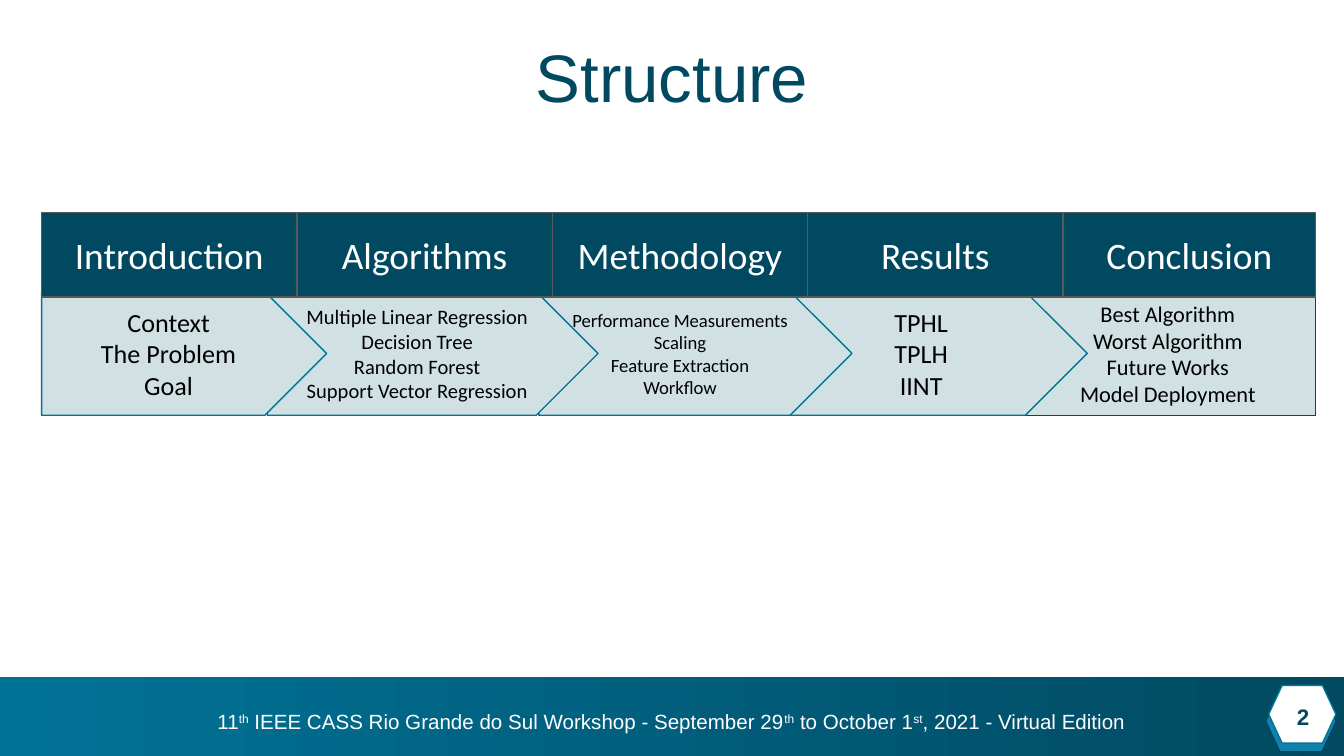
import pptx
import pptx.dml.color
import pptx.enum.shapes
import pptx.enum.text
import pptx.oxml
import pptx.oxml.ns
import pptx.util

WIDTH = 10
HEIGHT = WIDTH * 9 / 16
LEFT, RIGHT = 0.31, 9.79
HEADER_TOP, HEADER_WIDTH, HEADER_HEIGHT = 1.58, 1.9, 0.63
STEP_TOP, STEP_HEIGHT = 2.17, 0.92
COLORS = {
    "navy": "014961",
    "teal": "017397",
    "pale": "D0E0E3",
    "gray": "595959",
    "white": "FFFFFF",
    "black": "000000",
    "shadow": "1488B3",
}
STAGES = [
    ("Introduction", 0.31, 2.12, 14, ["Context", "The Problem", "Goal"]),
    ("Algorithms", 1.99, 2.46, 11,
     ["Multiple Linear Regression", "Decision Tree", "Random Forest", "Support Vector Regression"]),
    ("Methodology", 4.01, 2.33, 10,
     ["Performance Measurements", "Scaling", "Feature Extraction", "Workflow"]),
    ("Results", 5.85, 2.24, 14, ["TPHL", "TPLH", "IINT"]),
    ("Conclusion", 7.59, 2.2, 12,
     ["Best Algorithm", "Worst Algorithm", "Future Works", "Model Deployment"]),
]
FOOTER = [
    ("11", False), ("th", True),
    (" IEEE CASS Rio Grande do Sul Workshop - September 29", False), ("th", True),
    (" to October 1", False), ("st", True),
    (", 2021 - Virtual Edition", False),
]
SHAPE = pptx.enum.shapes.MSO_SHAPE
ALIGN = pptx.enum.text.PP_ALIGN


def rgb(name):
    return pptx.dml.color.RGBColor.from_string(COLORS[name])


def inches(*lengths):
    return [pptx.util.Inches(length) for length in lengths]


def format_run(r, size, font, color, bold=False):
    r.font.size = pptx.util.Pt(size)
    r.font.name = font
    r.font.bold = bold
    r.font.color.rgb = rgb(color)


def prepare_text(s):
    tf = s.text_frame
    tf.word_wrap = True
    tf.vertical_anchor = pptx.enum.text.MSO_ANCHOR.MIDDLE
    tf.margin_left = tf.margin_right = tf.margin_top = tf.margin_bottom = pptx.util.Inches(0.1)
    return tf


def set_text(s, lines, size, font, color, align=ALIGN.CENTER, bold=False):
    tf = prepare_text(s)
    tf.text = "\n".join(lines)
    for p in tf.paragraphs:
        p.alignment = align
        for r in p.runs:
            format_run(r, size, font, color, bold)


def add_box(slide, kind, box, fill, line):
    s = slide.shapes.add_shape(kind, *inches(*box))
    s.shadow.inherit = False
    s.fill.solid()
    s.fill.fore_color.rgb = rgb(fill)
    s.line.color.rgb = rgb(line)
    s.line.width = pptx.util.Pt(0.75)
    return s


def add_label(slide, box, text, size, align=ALIGN.CENTER, bold=False):
    s = slide.shapes.add_textbox(*inches(*box))
    set_text(s, [text], size, "Arial", "navy", align, bold)


def add_footer(slide):
    s = slide.shapes.add_shape(SHAPE.RECTANGLE, *inches(-0.04, 5.04, 10.07, 0.66))
    s.shadow.inherit = False
    s.line.fill.background()
    s.fill.gradient()
    s.fill.gradient_angle = 180
    for stop, color in zip(s.fill.gradient_stops, ("navy", "teal")):
        stop.color.rgb = rgb(color)
    p = prepare_text(s).paragraphs[0]
    p.alignment = ALIGN.CENTER
    for text, raised in FOOTER:
        r = p.add_run()
        r.text = text
        format_run(r, 11, "Arial", "white")
        if raised:
            r.font._element.set("baseline", "30000")


def add_badge(slide):
    s = add_box(slide, SHAPE.FLOWCHART_PREPARATION, (9.44, 5.1, 0.5, 0.43), "white", "teal")
    effects = s._element.spPr.find(pptx.oxml.ns.qn("a:effectLst"))
    effects.append(pptx.oxml.parse_xml(
        f'<a:outerShdw {pptx.oxml.ns.nsdecls("a")} blurRad="0" dist="48260" dir="6060000"'
        f' algn="bl" rotWithShape="0"><a:srgbClr val="{COLORS["shadow"]}">'
        '<a:alpha val="91000"/></a:srgbClr></a:outerShdw>'))


def add_step(slide, stage, last):
    _, left, width, size, lines = stage
    kind, line = (SHAPE.RECTANGLE, "navy") if last else (SHAPE.PENTAGON, "teal")
    s = add_box(slide, kind, (left, STEP_TOP, width, STEP_HEIGHT), "pale", line)
    set_text(s, lines, size, "Calibri", "black")


def add_header(slide, column, name):
    left = LEFT + column * HEADER_WIDTH
    width = min(HEADER_WIDTH, RIGHT - left)
    box = (left, HEADER_TOP, width, HEADER_HEIGHT)
    s = add_box(slide, SHAPE.RECTANGLE, box, "navy", "gray")
    set_text(s, [name], 20, "Calibri", "white")


def main():
    prs = pptx.Presentation()
    prs.slide_width, prs.slide_height = inches(WIDTH, HEIGHT)
    slide = prs.slides.add_slide(prs.slide_layouts[6])
    add_footer(slide)
    add_badge(slide)
    for stage in reversed(STAGES):
        add_step(slide, stage, stage is STAGES[-1])
    add_label(slide, (0.34, 0.1, 9.32, 0.92), "Structure", 36)
    add_label(slide, (9.24, 5.12, 0.6, 0.43), "2", 12, ALIGN.RIGHT, True)
    for column, stage in enumerate(STAGES):
        add_header(slide, column, stage[0])
    prs.save("out.pptx")


if __name__ == "__main__":
    main()
